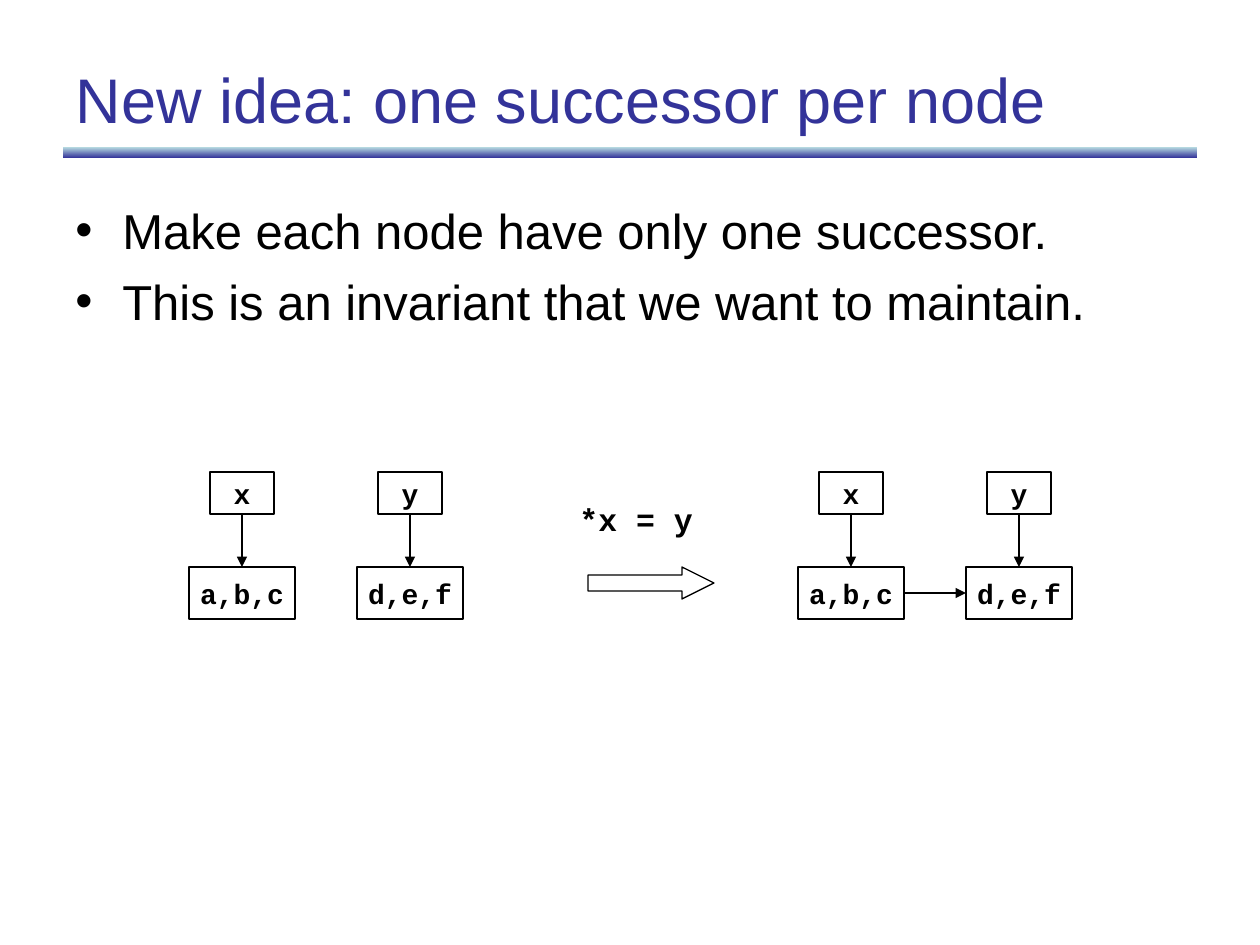
from dataclasses import dataclass

import pptx
import pptx.dml.color
import pptx.enum.shapes
import pptx.enum.text
import pptx.oxml.ns
import pptx.util
from lxml import etree

PX = 914400 / 126
SHAPES = pptx.enum.shapes.MSO_SHAPE
ALIGN = pptx.enum.text.PP_ALIGN
ANCHOR = pptx.enum.text.MSO_ANCHOR
TOP, LEFT, BOTTOM, RIGHT = range(4)


@dataclass(frozen=True)
class Theme:
    ink: str = "000000"
    accent: str = "333399"
    pale: str = "BBE0E3"
    sans: str = "Arial"
    mono: str = "Courier New"
    title_size: int = 36
    body_size: int = 28
    statement_size: int = 18
    node_size: int = 16
    line_width: float = 0.75


THEME = Theme()


def px(*lengths):
    return [pptx.util.Emu(round(length * PX)) for length in lengths]


def rgb(color):
    return pptx.dml.color.RGBColor.from_string(color)


def add_child(parent, tag, **attributes):
    return etree.SubElement(parent, pptx.oxml.ns.qn(tag), attributes)


def style_paragraph(paragraph, font_name, size, color, bold=False, align=ALIGN.LEFT):
    paragraph.alignment = align
    for run in paragraph.runs:
        run.font.name = font_name
        run.font.size = pptx.util.Pt(size)
        run.font.bold = bold
        run.font.color.rgb = rgb(color)


def add_title(slide, text, *box):
    title = slide.shapes.title
    title.left, title.top, title.width, title.height = px(*box)
    frame = title.text_frame
    frame.text = text
    frame.auto_size = pptx.enum.text.MSO_AUTO_SIZE.NONE
    frame.vertical_anchor = ANCHOR.MIDDLE
    style_paragraph(frame.paragraphs[0], THEME.sans, THEME.title_size, THEME.accent)


def add_title_rule(slide, *box):
    rule = slide.shapes.add_shape(SHAPES.RECTANGLE, *px(*box))
    rule.shadow.inherit = False
    rule.line.fill.background()
    rule.fill.gradient()
    rule.fill.gradient_angle = 270
    for stop, color in zip(rule.fill.gradient_stops, (THEME.pale, THEME.accent)):
        stop.color.rgb = rgb(color)


def add_bullets(slide, lines, *box):
    frame = slide.shapes.add_textbox(*px(*box)).text_frame
    frame.word_wrap = True
    frame.text = "\n".join(lines)
    indent, = px(47)
    for index, paragraph in enumerate(frame.paragraphs):
        properties = paragraph._p.get_or_add_pPr()
        properties.set("marL", str(indent))
        properties.set("indent", str(-indent))
        add_child(properties, "a:buFont", typeface=THEME.sans)
        add_child(properties, "a:buChar", char="•")
        paragraph.space_before = pptx.util.Pt(7 if index else 0)
        style_paragraph(paragraph, THEME.sans, THEME.body_size, THEME.ink)


def add_outline(slide, kind, *box):
    shape = slide.shapes.add_shape(kind, *px(*box))
    shape.shadow.inherit = False
    shape.fill.background()
    shape.line.color.rgb = rgb(THEME.ink)
    shape.line.width = pptx.util.Pt(THEME.line_width)
    return shape


def add_node(slide, text, center, top, width, height):
    node = add_outline(slide, SHAPES.RECTANGLE, center - width / 2, top, width, height)
    frame = node.text_frame
    frame.word_wrap = False
    frame.vertical_anchor = ANCHOR.MIDDLE
    frame.text = text
    style_paragraph(frame.paragraphs[0], THEME.mono, THEME.node_size, THEME.ink,
                    bold=True, align=ALIGN.CENTER)
    return node


def add_edge(slide, source, source_side, target, target_side):
    edge = slide.shapes.add_connector(pptx.enum.shapes.MSO_CONNECTOR.STRAIGHT, 0, 0, 0, 0)
    edge.begin_connect(source, source_side)
    edge.end_connect(target, target_side)
    edge.line.color.rgb = rgb(THEME.ink)
    edge.line.width = pptx.util.Pt(THEME.line_width)
    add_child(edge.line._get_or_add_ln(), "a:tailEnd", type="triangle")
    add_child(edge._element.spPr, "a:effectLst")


def add_points_to_graph(slide, center):
    """Draw x and y above the sets they point to; return the two sets."""
    targets = []
    for column, (variable, members) in enumerate((("x", "a,b,c"), ("y", "d,e,f"))):
        middle = center + column * 168
        pointer = add_node(slide, variable, middle, 472, 64, 42)
        target = add_node(slide, members, middle, 567, 106, 52)
        add_edge(slide, pointer, BOTTOM, target, TOP)
        targets.append(target)
    return targets


def add_statement(slide, text, *box):
    frame = slide.shapes.add_textbox(*px(*box)).text_frame
    frame.word_wrap = False
    frame.text = text
    style_paragraph(frame.paragraphs[0], THEME.mono, THEME.statement_size, THEME.ink, bold=True)


def main():
    presentation = pptx.Presentation()
    presentation.slide_width, presentation.slide_height = px(1260, 945)
    slide = presentation.slides.add_slide(presentation.slide_layouts[5])

    add_title_rule(slide, 63, 147, 1134, 11)
    add_title(slide, "New idea: one successor per node", 63, 38, 1134, 120)
    add_bullets(slide, ["Make each node have only one successor.",
                        "This is an invariant that we want to maintain."],
                63, 194, 1134, 176)

    add_points_to_graph(slide, 242)
    add_statement(slide, "*x = y", 567, 494, 139, 50)
    arrow = add_outline(slide, SHAPES.RIGHT_ARROW, 588, 567, 126, 32)
    arrow.adjustments[0], arrow.adjustments[1] = 0.5, 1
    first_set, second_set = add_points_to_graph(slide, 851)
    add_edge(slide, first_set, RIGHT, second_set, LEFT)

    presentation.save("out.pptx")


if __name__ == "__main__":
    main()
